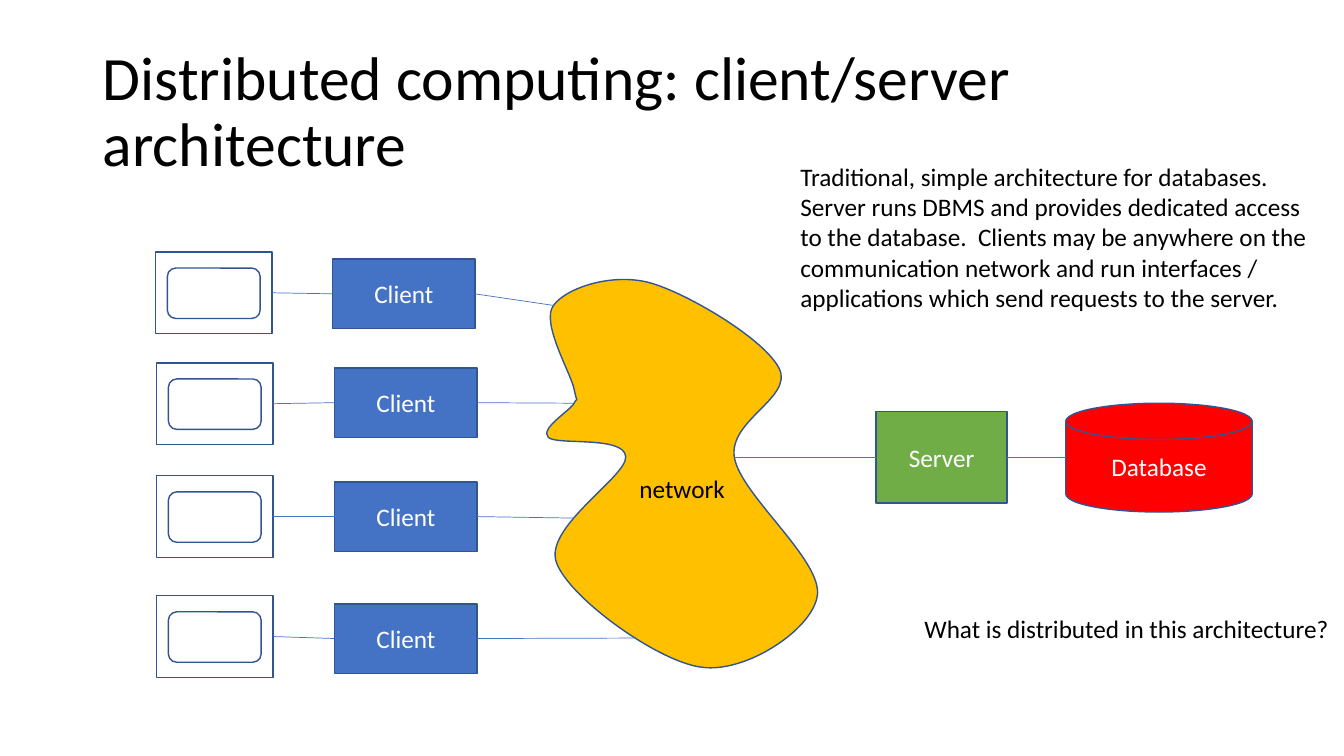
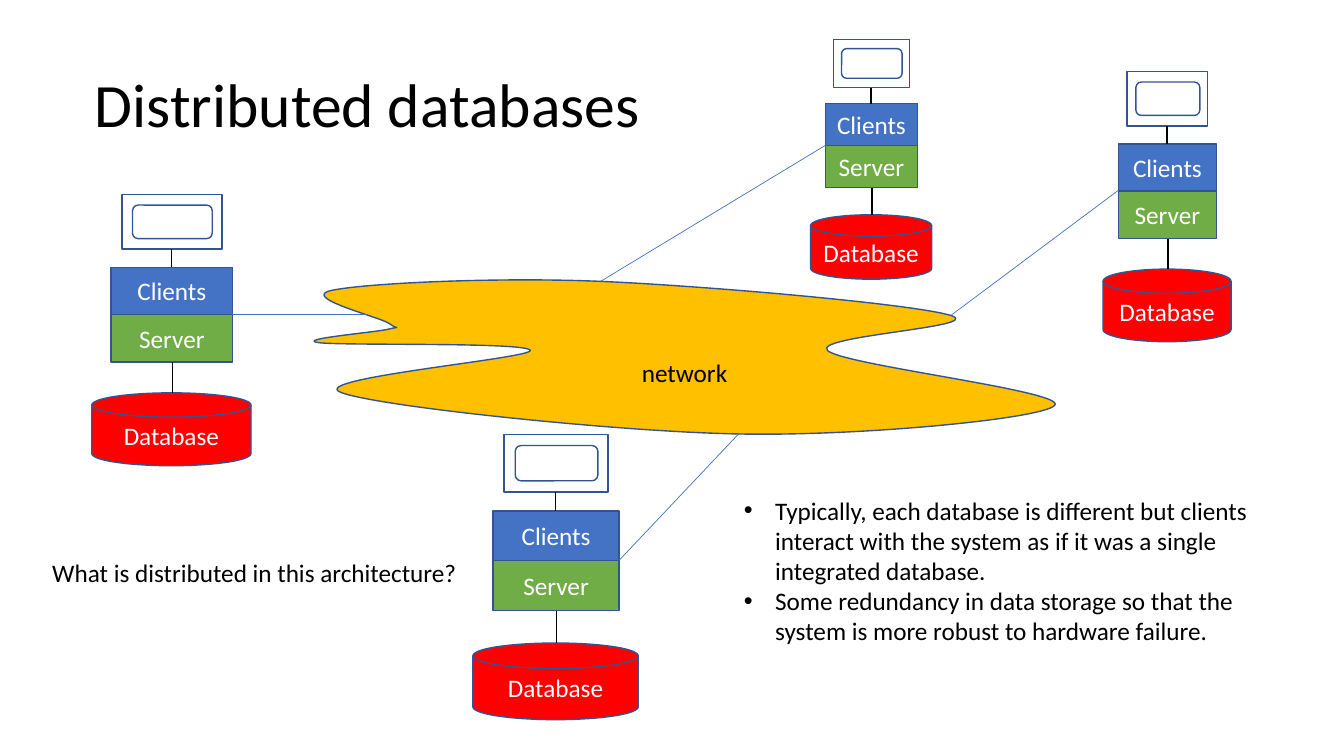
from lxml.etree import SubElement
from pptx import Presentation
from pptx.dml.color import RGBColor
from pptx.enum.shapes import MSO_CONNECTOR as Link, MSO_SHAPE as Kind
from pptx.enum.text import MSO_ANCHOR as Anchor, MSO_AUTO_SIZE as Size, PP_ALIGN as Align
from pptx.oxml.ns import qn
from pptx.util import Pt

SCALE = 9144
FONT = "Calibri"
BLACK = RGBColor(0x00, 0x00, 0x00)
WHITE = RGBColor(0xFF, 0xFF, 0xFF)
NAVY = RGBColor(0x32, 0x54, 0x91)
BLUE = RGBColor(0x44, 0x72, 0xC4)
GREEN = RGBColor(0x70, 0xAD, 0x47)
RED = RGBColor(0xFF, 0x00, 0x00)
GOLD = RGBColor(0xFF, 0xC0, 0x00)

ASK = "What is distributed in this architecture?"
ABOUT = (
    "Traditional, simple architecture for databases.  Server runs DBMS and provides "
    "dedicated access to the database.  Clients may be anywhere on the communication "
    "network and run interfaces / applications which send requests to the server."
)
POINTS = [
    "Typically, each database is different but clients interact with the system "
    "as if it was a single integrated database.",
    "Some redundancy in data storage so that the system is more robust to hardware failure.",
]

CLOUD = (736, 385)
START = (75, 122)
CURVES = [
    ((86, 114), (84, 125), (75, 108)),
    ((66, 92), (-16, 42), (19, 25)),
    ((55, 7), (183, -8), (285, 3)),
    ((387, 14), (594, 59), (632, 88)),
    ((669, 117), (493, 139), (510, 176)),
    ((527, 213), (750, 278), (735, 313)),
    ((721, 347), (540, 390), (422, 384)),
    ((304, 379), (61, 315), (27, 280)),
    ((-8, 245), (219, 195), (215, 175)),
    ((211, 154), (29, 164), (5, 156)),
    ((-19, 147), (63, 130), (75, 122)),
]

ROWS = [
    (154, 250, 330, 257, (549, 303)),
    (155, 360, 332, 365, (569, 400)),
    (155, 472, 332, 478, (569, 514)),
    (155, 591, 332, 599, (631, 633)),
]
SCREEN = [(Kind.ROUNDED_RECTANGLE, (12, 16, 92, 50)), (Kind.RECTANGLE, (0, 0, 116, 81))]
LINKS = [((869, 454), (728, 454)), ((999, 454), (1057, 454))]

SITE = (164, 283)
PARTS = [
    (Kind.FLOWCHART_MAGNETIC_DISK, (0, 207, 164, 76), RED, "Database"),
    (Kind.RECTANGLE, (20, 125, 125, 50), GREEN, "Server"),
    (Kind.RECTANGLE, (20, 76, 125, 49), BLUE, "Clients"),
    (Kind.ROUNDED_RECTANGLE, (42, 11, 82, 35), None, None),
    (Kind.RECTANGLE, (31, 0, 103, 57), None, None),
]
STEMS = [((82, 57), (82, 76)), ((83, 175), (83, 207))]
SITES = [
    ((469, 431, 164, 283), (614, 556), (733, 430)),
    ((91, 193, 158, 269), (230, 312), (364, 312)),
    ((804, 39, 120, 238), (819, 144), (596, 279)),
    ((1094, 71, 127, 268), (1109, 189), (943, 313)),
]


def px(*vals):
    return [round(val * SCALE) for val in vals]


def fit(spot, box):
    left, top, wide, high = box
    return left + spot[0] * wide / SITE[0], top + spot[1] * high / SITE[1]


def write(shape, text, size=18, color=BLACK, align=Align.LEFT, anchor=Anchor.TOP,
          wrap=True, bullet=False, lead=None, drop=0):
    frame = shape.text_frame
    frame.word_wrap = wrap
    frame.auto_size = Size.NONE
    frame.vertical_anchor = anchor
    if drop:
        frame.margin_top = px(drop)[0]
    for num, line in enumerate([text] if isinstance(text, str) else text):
        para = frame.add_paragraph() if num else frame.paragraphs[0]
        para.alignment = align
        if lead:
            para.line_spacing = lead
        run = para.add_run()
        run.text = line
        run.font.name, run.font.size, run.font.color.rgb = FONT, Pt(size), color
        if bullet:
            props = para._p.get_or_add_pPr()
            step = px(31)[0]
            props.set("marL", str(step))
            props.set("indent", str(-step))
            SubElement(props, qn("a:buFont")).set("typeface", "Arial")
            SubElement(props, qn("a:buChar")).set("char", "•")


def paint(shape, fill):
    shape.shadow.inherit = False
    if fill is None:
        shape.fill.background()
    else:
        shape.fill.solid()
        shape.fill.fore_color.rgb = fill
    shape.line.color.rgb = NAVY
    shape.line.width = Pt(1)


def block(tree, kind, box, fill=None, text=None):
    shape = tree.add_shape(kind, *px(*box))
    paint(shape, fill)
    if text:
        write(shape, text, color=WHITE, align=Align.CENTER, anchor=Anchor.MIDDLE)


def wire(tree, start, end, color=BLUE, width=0.5):
    line = tree.add_connector(Link.STRAIGHT, *px(*start, *end))
    line.line.color.rgb = color
    line.line.width = Pt(width)
    SubElement(line._element.spPr, qn("a:effectLst"))


def note(tree, box, text, **form):
    write(tree.add_textbox(*px(*box)), text, **form)


def trace(curve, tag, dots):
    part = SubElement(curve, qn(tag))
    for x, y in dots:
        dot = SubElement(part, qn("a:pt"))
        dot.set("x", str(x))
        dot.set("y", str(y))


def cloud(tree, box):
    pen = tree.build_freeform(0, 0)
    pen.add_line_segments([CLOUD])
    shape = pen.convert_to_shape()
    shape.left, shape.top, shape.width, shape.height = px(*box)
    curve = next(shape._element.iter(qn("a:path")))
    for part in list(curve):
        curve.remove(part)
    curve.set("w", str(CLOUD[0]))
    curve.set("h", str(CLOUD[1]))
    trace(curve, "a:moveTo", [START])
    for dots in CURVES:
        trace(curve, "a:cubicBezTo", dots)
    SubElement(curve, qn("a:close"))
    paint(shape, GOLD)
    write(shape, "network", align=Align.CENTER, anchor=Anchor.MIDDLE, drop=34)


def site(tree, box):
    group = tree.add_group_shape().shapes
    for kind, (x, y, w, h), fill, text in PARTS:
        left, top = fit((x, y), box)
        right, low = fit((x + w, y + h), box)
        block(group, kind, (left, top, right - left, low - top), fill, text)
    for start, end in STEMS:
        wire(group, fit(start, box), fit(end, box), BLACK, 1)


def page(deck, text, left, top):
    slide = deck.slides.add_slide(deck.slide_layouts[5])
    title = slide.shapes.title
    title.left, title.top, title.width, title.height = px(left, top, 1150, 145)
    write(title, text, size=44, anchor=Anchor.MIDDLE, lead=0.9)
    return slide.shapes


def central(deck):
    tree = page(deck, "Distributed computing: client/server architecture", 92, 40)
    block(tree, Kind.FLOWCHART_MAGNETIC_DISK, (1057, 400, 185, 108), RED, "Database")
    block(tree, Kind.RECTANGLE, (869, 408, 130, 91), GREEN, "Server")
    cloud(tree, (542, 278, 269, 385))
    for left, top, near, low, end in ROWS:
        group = tree.add_group_shape().shapes
        for kind, (x, y, w, h) in SCREEN:
            block(group, kind, (left + x, top + y, w, h))
        mid = low + 34.5
        block(tree, Kind.RECTANGLE, (near, low, 141, 69), BLUE, "Client")
        wire(tree, (left + 116, top + 40.5), (near, mid))
        wire(tree, (near + 141, mid), end)
    for start, end in LINKS:
        wire(tree, start, end)
    note(tree, (784, 155, 527, 162), ABOUT)
    note(tree, (907, 604, 426, 40), ASK, wrap=False)


def spread(deck):
    tree = page(deck, "Distributed databases", 84, 34)
    cloud(tree, (311, 278, 736, 153))
    note(tree, (42, 548, 426, 40), ASK, wrap=False)
    for box, start, end in SITES:
        site(tree, box)
        wire(tree, start, end)
    note(tree, (728, 486, 532, 162), POINTS, bullet=True)


def main():
    deck = Presentation()
    deck.slide_width, deck.slide_height = px(1333, 750)
    central(deck)
    spread(deck)
    deck.save("out.pptx")


if __name__ == "__main__":
    main()
